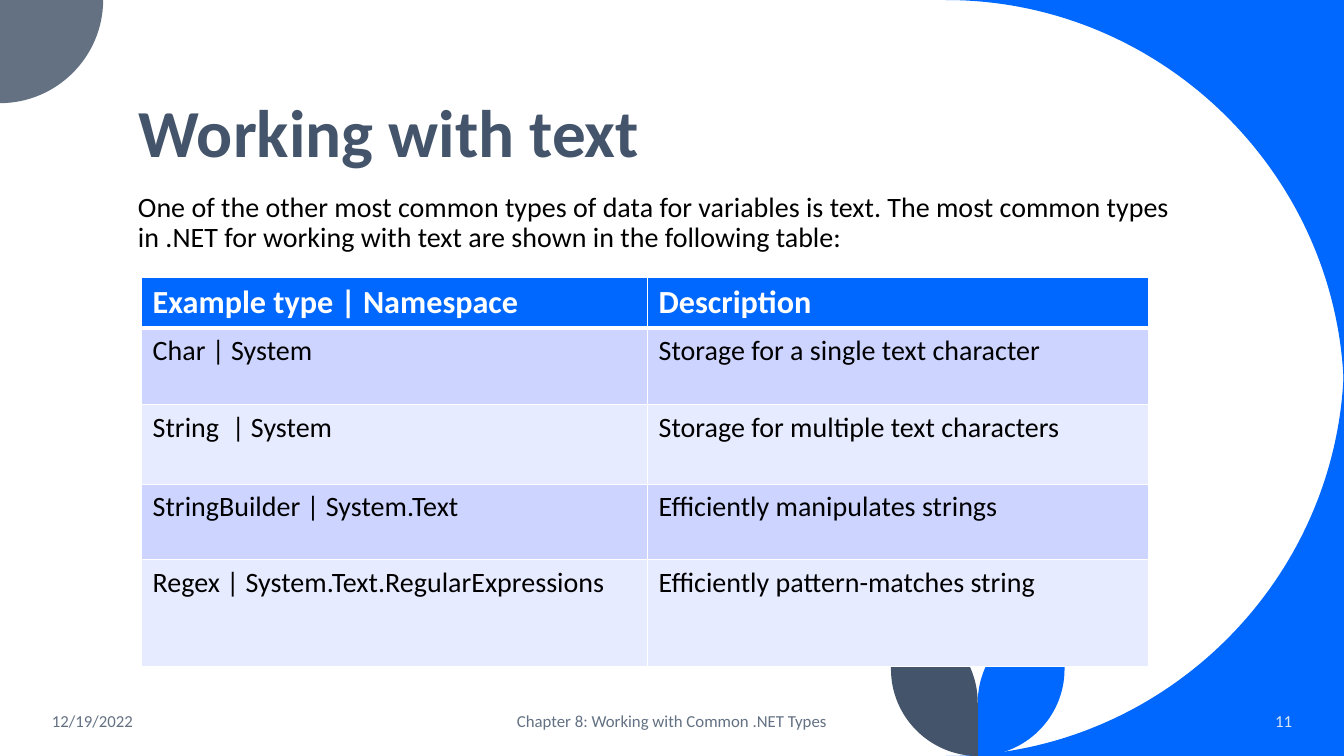
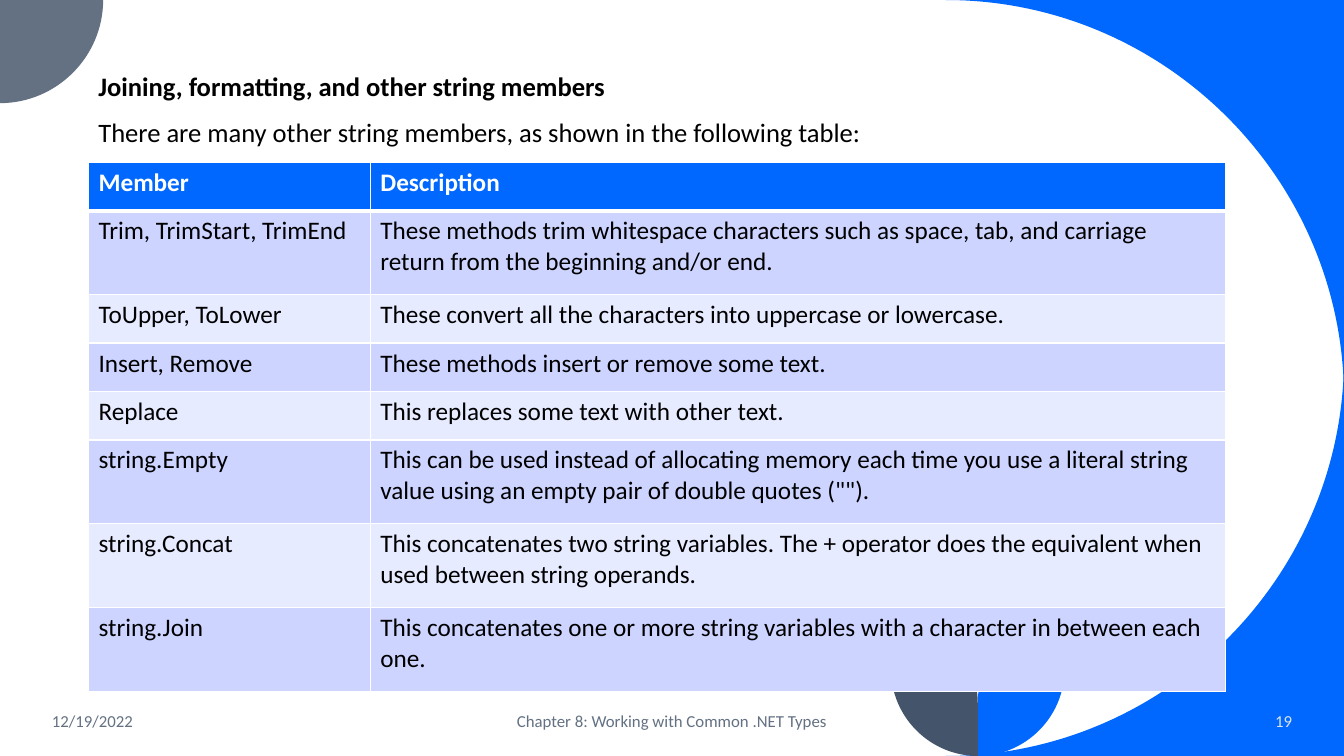
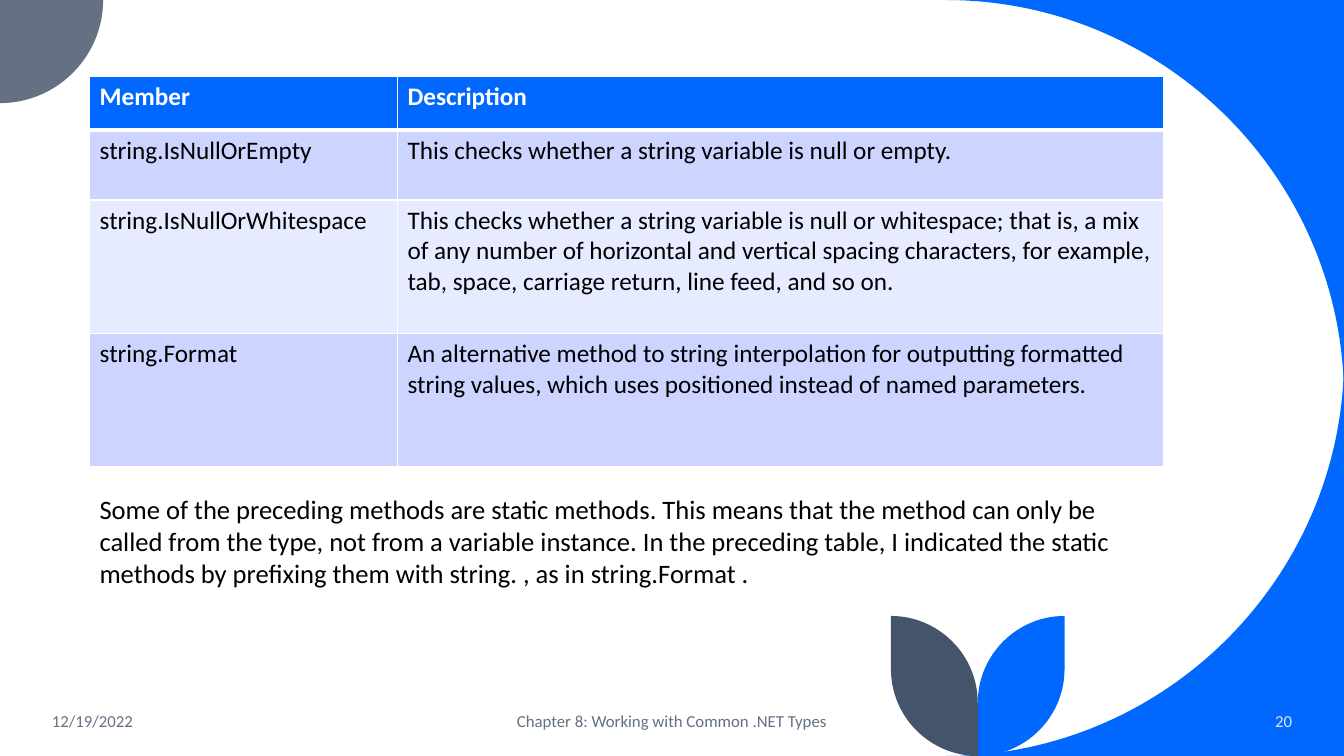
"""Build three slides on text types and string members in .NET."""
from lxml import etree
from pptx import Presentation
from pptx.dml.color import RGBColor
from pptx.enum import text
from pptx.oxml import ns
from pptx.util import Pt

BLUE = RGBColor(0x00, 0x68, 0xFF)
SLATE = RGBColor(0x44, 0x54, 0x6A)
GREY = RGBColor(0x63, 0x71, 0x83)
PALE = RGBColor(0xDA, 0xE5, 0xEF)
WHITE = RGBColor(0xFF, 0xFF, 0xFF)
BLACK = RGBColor(0, 0, 0)
BANDS = [RGBColor(0xE7, 0xEB, 0xFF), RGBColor(0xCC, 0xD4, 0xFF)]
FONT = "Calibri"
LEFT, MID, RIGHT = text.PP_ALIGN.LEFT, text.PP_ALIGN.CENTER, text.PP_ALIGN.RIGHT
TOP, CENTER, BASE = text.MSO_ANCHOR.TOP, text.MSO_ANCHOR.MIDDLE, text.MSO_ANCHOR.BOTTOM

WIDE, HIGH = 960, 540
BOW, DISC, STEM, LEAF, TIP = 284.4, 73.7, 698.4, 62, 440
UPPER, LOWER = HIGH - LEAF, TIP + LEAF
ROUND = 0.55

CURVES = [
    (BLUE, [((WIDE - BOW, 0), (WIDE, 0), (WIDE, BOW))], [(WIDE, 0)]),
    (BLUE, [((WIDE, HIGH - BOW), (WIDE, HIGH), (WIDE - BOW, HIGH))], [(WIDE, HIGH)]),
    (GREY, [((DISC, 0), (DISC, DISC), (0, DISC))], [(0, 0)]),
]
for color, edge in ((BLUE, STEM + LEAF), (SLATE, STEM - LEAF)):
    CURVES.append((color, [
        ((edge, UPPER), (edge, HIGH), (STEM, HIGH)),
        ((STEM, LOWER), (STEM, TIP), (edge, TIP)),
    ], []))


def write(slide, box, lines, size, color=BLACK, align=LEFT, anchor=TOP, bold=False, pitch=None, gap=0):
    """Add a text box with one paragraph per line."""
    frame = slide.shapes.add_textbox(*map(Pt, box)).text_frame
    frame.word_wrap = True
    frame.vertical_anchor = anchor
    frame.text = "\n".join(lines)
    for para in frame.paragraphs:
        para.alignment, para.line_spacing, para.space_before = align, pitch, Pt(gap)
        font = para.font
        font.name, font.size, font.bold, font.color.rgb = FONT, Pt(size), bold, color
    return frame


def tabulate(slide, spot, cols, rows, data, sizes=(18, 18), inset=(7.2, 3.6)):
    """Add a banded table with white rules and a blue header."""
    span = (sum(cols), sum(rows))
    table = slide.shapes.add_table(len(rows), len(cols), *map(Pt, spot + span)).table
    for col, width in zip(table.columns, cols):
        col.width = Pt(width)
    for i, (row, height) in enumerate(zip(table.rows, rows)):
        row.height = Pt(height)
        for cell, words in zip(row.cells, data[i]):
            cell.margin_left = cell.margin_right = Pt(inset[0])
            cell.margin_top = cell.margin_bottom = Pt(inset[1])
            cell.text = words
            font = cell.text_frame.paragraphs[0].font
            font.name, font.size, font.bold = FONT, Pt(sizes[i > 0]), i == 0
            font.color.rgb = BLACK if i else WHITE
            props = cell._tc.get_or_add_tcPr()
            for side in "LRTB":
                thick = (i, side) in [(0, "B"), (1, "T")]
                line = etree.SubElement(props, ns.qn("a:ln" + side), w=str(Pt(3 if thick else 1)))
                fill = etree.SubElement(line, ns.qn("a:solidFill"))
                etree.SubElement(fill, ns.qn("a:srgbClr"), val=str(WHITE))
            cell.fill.solid()
            cell.fill.fore_color.rgb = BANDS[i % 2] if i else BLUE


deck = Presentation()
deck.slide_width, deck.slide_height = Pt(WIDE), Pt(HIGH)
blank = deck.slide_layouts[6]
slides = [deck.slides.add_slide(blank) for _ in range(3)]
types, members, checks = slides

for color, arcs, ends in CURVES:
    points = []
    for start, bend, stop in arcs:
        pulls = [tuple(a + ROUND * (b - a) for a, b in zip(end, bend)) for end in (start, stop)]
        points += [start, *pulls, stop]
    points = [(Pt(x), Pt(y)) for x, y in points + ends]
    pen = types.shapes.build_freeform(*points[0])
    pen.add_line_segments(points[1:])
    shape = pen.convert_to_shape()
    shape.shadow.inherit = False
    shape.fill.solid()
    shape.fill.fore_color.rgb = color
    shape.line.fill.background()
    steps = list(shape.element.iter(ns.qn("a:lnTo")))
    for i in range(len(arcs)):
        trio = steps[4 * i:4 * i + 3]
        curve = etree.Element(ns.qn("a:cubicBezTo"))
        trio[0].addprevious(curve)
        for step in trio:
            curve.append(step[0])
            step.getparent().remove(step)
    blank.shapes.element.append(shape.element)

for slide, number in zip(slides, ("11", "19", "20")):
    for left, width, words, color, align in (
        (30, 216, "12/19/2022", GREY, LEFT),
        (318, 324, "Chapter 8: Working with Common .NET Types", GREY, MID),
        (799.5, 130.5, number, PALE, RIGHT),
    ):
        write(slide, (left, 500.5, width, 28.8), [words], 12, color, align, CENTER)

write(types, (92, 65.5, 770, 61.2), ["Working with text"], 48, SLATE, anchor=BASE, bold=True, pitch=0.9)
write(types, (91.5, 134.4, 781, 41), [
    "One of the other most common types of data for variables is text. The most common types "
    "in .NET for working with text are shown in the following table:",
], 20, pitch=0.9, gap=10)
tabulate(types, (101.2, 198), (361.4, 357.8), (35, 54.6, 57, 53.8, 76.4), [
    ("Example type | Namespace", "Description"),
    ("Char | System", "Storage for a single text character"),
    ("String  | System", "Storage for multiple text characters"),
    ("StringBuilder | System.Text", "Efficiently manipulates strings"),
    ("Regex | System.Text.RegularExpressions", "Efficiently pattern-matches string"),
], (23, 20), (7.92, 4.32))

intro = write(members, (63.2, 46.4, 781, 448), [
    "Joining, formatting, and other string members",
    "There are many other string members, as shown in the following table:",
], 19, gap=10)
intro.paragraphs[0].font.bold = True
SHORT, TALL = 34.6, 59.9
tabulate(members, (63.2, 116), (201.3, 611), (SHORT, TALL, SHORT, SHORT, SHORT, TALL, TALL, TALL), [
    ("Member", "Description"),
    ("Trim, TrimStart, TrimEnd", "These methods trim whitespace characters such as space, tab, "
     "and carriage return from the beginning and/or end."),
    ("ToUpper, ToLower", "These convert all the characters into uppercase or lowercase."),
    ("Insert, Remove", "These methods insert or remove some text."),
    ("Replace", "This replaces some text with other text."),
    ("string.Empty", "This can be used instead of allocating memory each time you use a literal "
     'string value using an empty pair of double quotes ("").'),
    ("string.Concat", "This concatenates two string variables. The + operator does the equivalent "
     "when used between string operands."),
    ("string.Join", "This concatenates one or more string variables with a character in between each one."),
])

tabulate(checks, (64, 54.3), (219.9, 547), (38.6, 50, 95.2, 95.2), [
    ("Member", "Description"),
    ("string.IsNullOrEmpty", "This checks whether a string variable is null or empty."),
    ("string.IsNullOrWhitespace", "This checks whether a string variable is null or whitespace; that is, "
     "a mix of any number of horizontal and vertical spacing characters, for example, tab, space, "
     "carriage return, line feed, and so on."),
    ("string.Format", "An alternative method to string interpolation for outputting formatted string "
     "values, which uses positioned instead of named parameters."),
])
write(checks, (64, 348.5, 766.8, 76.3), [
    "Some of the preceding methods are static methods. This means that the method can only be called "
    "from the type, not from a variable instance. In the preceding table, I indicated the static "
    "methods by prefixing them with string. , as in string.Format .",
], 19)

deck.save("out.pptx")
